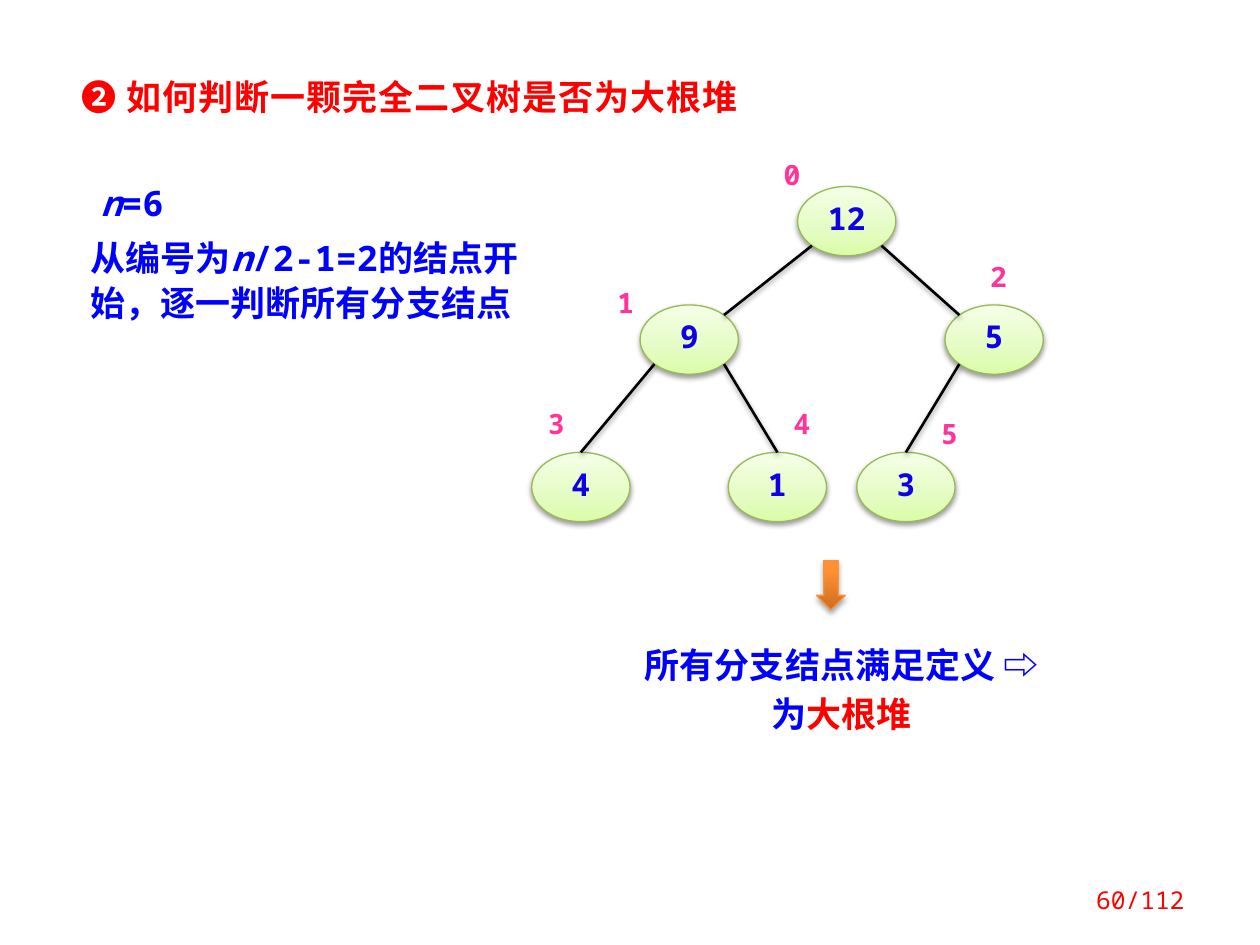
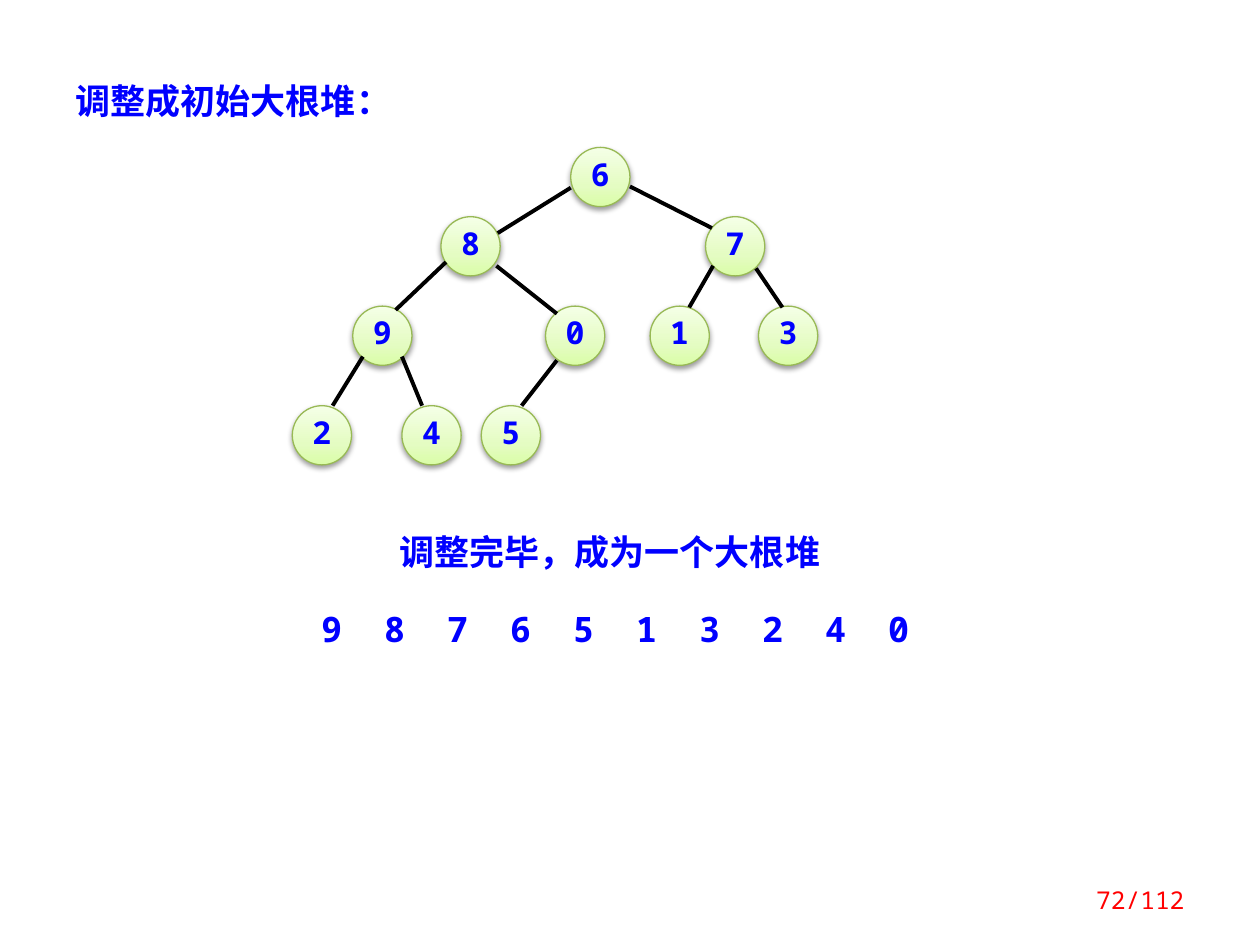
import copy

import lxml.etree
import pptx
import pptx.dml.color
import pptx.enum.shapes
import pptx.enum.text
import pptx.oxml.ns
import pptx.util

WIDTH, HEIGHT = pptx.util.Inches(10), pptx.util.Inches(7.5)
COLS, ROWS = 100, 75
MONO, HAN = "Noto Sans Mono", "Noto Sans CJK SC"
COLOR = {
    "blue": "0000FF", "navy": "1000E4", "red": "FF0000", "pink": "FF3399",
    "black": "000000", "rim": "98B955", "amber": "F69240",
}
LEAF = [(0, "DAFDA7"), (0.35, "E4FCC2"), (1, "F5FFE7")]
FLAME = [(0, "CC6E20"), (0.8, "FF9034"), (1, "FF9136")]
ALIGN = pptx.enum.text.PP_ALIGN
ANCHOR = pptx.enum.text.MSO_ANCHOR
SHAPE = pptx.enum.shapes.MSO_SHAPE
qn = pptx.oxml.ns.qn


def rgb(name):
    return pptx.dml.color.RGBColor.from_string(COLOR.get(name, name))


def spot(box, x, y):
    """Turn a grid point inside a box into slide lengths."""
    return round((box[0] + x) * WIDTH / COLS), round((box[1] + y) * HEIGHT / ROWS)


def frame(box, x, y, w, h):
    return *spot(box, x, y), *spot((0, 0), w, h)


def add_run(para, text, color, size=20, bold=True, italic=False, font=MONO, gap=0):
    run = para.add_run()
    run.text = text
    face = run.font
    face.name, face.size, face.bold, face.italic = font, pptx.util.Pt(size), bold, italic
    face.color.rgb = rgb(color)
    props = run._r.get_or_add_rPr()
    lxml.etree.SubElement(props, qn("a:ea"), typeface=HAN)
    if gap:
        props.set("spc", str(gap))


def add_text(slide, area, runs, align=ALIGN.LEFT, lead=None, inset=None,
             anchor=ANCHOR.TOP, **style):
    """Runs are (text, colour) or (text, colour, italic)."""
    body = slide.shapes.add_textbox(*area).text_frame
    body.word_wrap = True
    body.vertical_anchor = anchor
    if inset is not None:
        body.margin_left = body.margin_right = inset
        body.margin_top = body.margin_bottom = inset
    para = body.paragraphs[0]
    para.alignment = align
    if lead:
        para.line_spacing = lead
    for text, color, *slant in runs:
        add_run(para, text, color, italic=bool(slant), **style)
    return para


def set_shade(shape, alpha=0, dist=1.6):
    """Give a soft shadow below, or none when alpha is zero."""
    effects = lxml.etree.SubElement(shape._element.spPr, qn("a:effectLst"))
    if alpha:
        outer = lxml.etree.SubElement(
            effects, qn("a:outerShdw"), blurRad=str(pptx.util.Pt(3.1)),
            dist=str(pptx.util.Pt(dist)), dir="5400000", rotWithShape="0")
        tint = lxml.etree.SubElement(outer, qn("a:srgbClr"), val=COLOR["black"])
        lxml.etree.SubElement(tint, qn("a:alpha"), val=str(alpha * 1000))


def add_solid(slide, kind, area, stops, rim, alpha, dist):
    shape = slide.shapes.add_shape(kind, *area)
    fill = shape.fill
    fill.gradient()
    fill.gradient_angle = 90
    ramp = shape._element.spPr.find(".//" + qn("a:gsLst"))
    ramp.append(copy.deepcopy(ramp[-1]))
    for stop, (place, color) in zip(fill.gradient_stops, stops):
        stop.position = place
        stop.color.rgb = rgb(color)
    shape.line.color.rgb = rgb(rim)
    shape.line.width = pptx.util.Pt(0.75)
    set_shade(shape, alpha, dist)
    return shape


def add_node(slide, area, value, color):
    body = add_solid(slide, SHAPE.OVAL, area, LEAF, "rim", 38, 1.6).text_frame
    body.word_wrap = False
    body.vertical_anchor = ANCHOR.MIDDLE
    para = body.paragraphs[0]
    para.alignment = ALIGN.CENTER
    para.line_spacing = 0.8
    add_run(para, value, color, 18)


def add_tree(slide, box, size, nodes, links, color, weight, alpha=0):
    """Nodes are (value, x, y); links are (x1, y1, x2, y2)."""
    for value, x, y in nodes:
        add_node(slide, frame(box, x, y, *size), value, color)
    for x1, y1, x2, y2 in links:
        line = slide.shapes.add_connector(
            pptx.enum.shapes.MSO_CONNECTOR.STRAIGHT, *spot(box, x1, y1), *spot(box, x2, y2))
        line.line.color.rgb = rgb("black")
        line.line.width = pptx.util.Pt(weight)
        set_shade(line, alpha)


def heap_links(nodes, size):
    """Join each node of a heap array to its parent at the oval's diagonals."""
    w, h = size
    near, far = 0.146, 0.854
    for i, (_, x, y) in enumerate(nodes[1:], 1):
        _, px, py = nodes[(i - 1) // 2]
        left = i % 2 == 1
        start = px + w * (near if left else far), py + h * far
        if 2 * i + 1 < len(nodes):
            end = x + w * (far if left else near), y + h * near
        else:
            end = x + w / 2, y
        yield *start, *end


def new_slide(deck, area, title, color, page, **style):
    slide = deck.slides.add_slide(deck.slide_layouts[5])
    head = slide.shapes.title
    head.left, head.top, head.width, head.height = area
    body = head.text_frame
    body.auto_size = pptx.enum.text.MSO_AUTO_SIZE.NONE
    body.vertical_anchor = ANCHOR.TOP
    para = body.paragraphs[0]
    para.alignment = ALIGN.LEFT
    add_run(para, title, color, **style)
    add_text(slide, frame((82.8, 69.4), 0, 0, 12.2, 4), [(f"{page}/112", "red")],
             ALIGN.RIGHT, anchor=ANCHOR.MIDDLE, size=14, bold=False)
    return slide


def add_method(slide, box):
    add_text(slide, frame(box, 0.8, 0, 13.3, 4.4),
             [("n", "blue", True), ("=6", "blue")])
    add_text(slide, frame(box, 0, 4.1, 37.5, 8.3),
             [("从编号为", "blue"), ("n", "blue", True),
              ("/2-1=2的结点开始，逐一判断所有分支结点", "blue")],
             lead=pptx.util.Pt(26))


def add_heap(slide, box):
    size = 7.8, 5.5
    nodes = [("12", 21.1, 1.8), ("9", 8.6, 11.2), ("5", 32.8, 11.2),
             ("4", 0, 22.9), ("1", 15.6, 22.9), ("3", 25.8, 22.9)]
    add_tree(slide, box, size, nodes, heap_links(nodes, size), "navy", 1.5, 38)
    marks = [(18.7, 0), (5.5, 10.2), (35.1, 8.1), (0, 19.8), (19.5, 19.8), (31.2, 20.6)]
    for i, (x, y) in enumerate(marks):
        add_text(slide, frame(box, x, y, 3.9, 2.2), [(str(i), "pink")],
                 ALIGN.CENTER, lead=0.8, inset=0, size=16)


def add_verdict(slide, box):
    add_text(slide, frame(box, 0, 5.5, 35.2, 8.5),
             [("所有分支结点满足定义 ⇨ 为", "blue"), ("大根堆", "red")],
             ALIGN.CENTER, lead=pptx.util.Pt(28))
    add_solid(slide, SHAPE.DOWN_ARROW, frame(box, 15.6, 0, 2.3, 3.9),
              FLAME, "amber", 35, 1.8)


def add_start(slide, box):
    nodes = [("6", 22.1, 0), ("8", 11.8, 5.5), ("7", 32.8, 5.5),
             ("9", 4.8, 12.6), ("0", 20.1, 12.6), ("1", 28.4, 12.6), ("3", 37, 12.6),
             ("2", 0, 20.5), ("4", 8.7, 20.5), ("5", 15, 20.5)]
    links = [(22.1, 3.2, 16.3, 6.8), (26.8, 3.1, 33.3, 6.4),
             (12.2, 9.1, 8.2, 12.9), (16.2, 9.4, 21, 13.2),
             (33.4, 9.4, 31.5, 12.7), (36.8, 9.6, 38.9, 12.7),
             (5.6, 16.6, 3.2, 20.5), (8.7, 16.6, 10.3, 20.5), (21, 16.9, 18.2, 20.5)]
    add_tree(slide, box, (4.7, 4.7), nodes, links, "blue", 2.25)


def add_result(slide, box):
    add_text(slide, frame(box, 0, 0, 47.2, 4.4), [("调整完毕，成为一个大根堆", "blue")],
             ALIGN.CENTER, font=HAN)
    digits = "9876513240"
    para = add_text(slide, frame(box, -0.3, 6.1, 50, 4.4), [])
    tabs = lxml.etree.SubElement(para._p.get_or_add_pPr(), qn("a:tabLst"))
    for i in range(1, len(digits)):
        lxml.etree.SubElement(tabs, qn("a:tab"), pos=str(i * WIDTH // 20), algn="l")
    add_run(para, "\t".join(digits), "blue")


def main():
    deck = pptx.Presentation()
    deck.slide_width, deck.slide_height = WIDTH, HEIGHT

    check = new_slide(deck, frame((5.5, 5.5), 0, 0, 58.6, 4.4),
                      "❷ 如何判断一颗完全二叉树是否为大根堆", "red", 60, gap=50)
    add_method(check, (6.2, 13.9))
    add_heap(check, (42.2, 13))
    add_verdict(check, (49.2, 44.5))

    build = new_slide(deck, frame((5, 5.8), 0, 0, 35.6, 4.4),
                      "调整成初始大根堆：", "blue", 72, font=HAN)
    add_start(build, (23.2, 11.7))
    add_result(build, (24.8, 41.6))
    deck.save("out.pptx")


if __name__ == "__main__":
    main()
